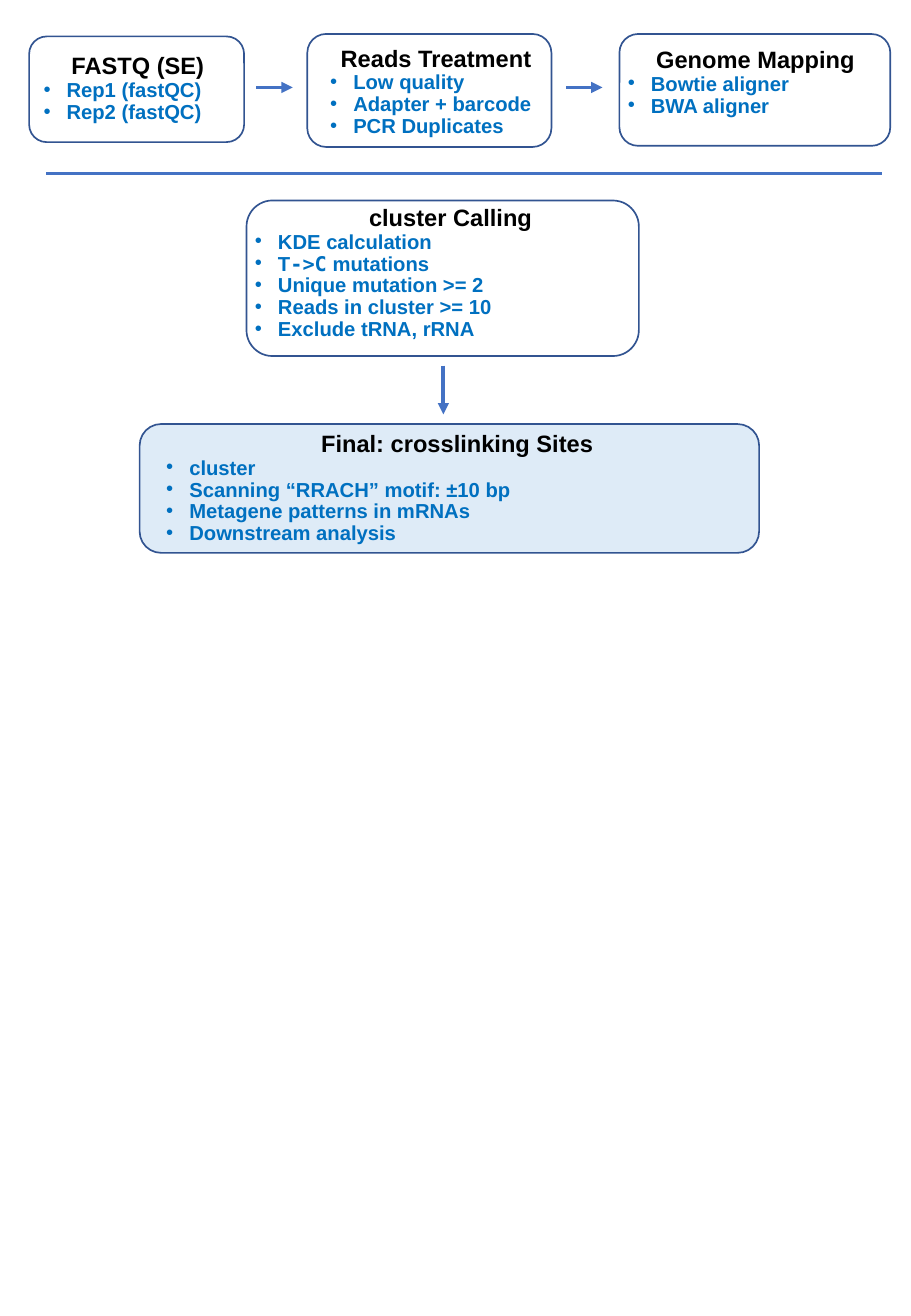
from dataclasses import dataclass
from typing import Any

from lxml.etree import SubElement
from pptx import Presentation
from pptx.dml.color import RGBColor
from pptx.enum.shapes import MSO_CONNECTOR, MSO_SHAPE
from pptx.enum.text import MSO_AUTO_SIZE, PP_ALIGN
from pptx.oxml.ns import qn
from pptx.util import Emu, Pt

SCALE = 9144  # EMU in one px, 100 px to the inch


@dataclass(frozen=True)
class Theme:
    font: str = "Arial"
    mono: str = "DejaVu Sans Mono"
    title: RGBColor = RGBColor.from_string("000000")
    item: RGBColor = RGBColor.from_string("0070C0")
    edge: RGBColor = RGBColor.from_string("325491")
    link: RGBColor = RGBColor.from_string("4472C4")
    final: RGBColor = RGBColor.from_string("DEEBF7")
    head: Pt = Pt(14)
    body: Pt = Pt(12)
    pitch: Pt = Pt(13)
    thin: Pt = Pt(1)
    rule: Pt = Pt(1.5)
    thick: Pt = Pt(2.25)


THEME = Theme()
Box = tuple[int, int, int, int]
Part = tuple[str, str]  # words and their font


@dataclass(frozen=True)
class Card:
    frame: Box
    text: Box
    title: str
    items: tuple[str | tuple[Part, ...], ...]
    fill: RGBColor | None = None


@dataclass(frozen=True)
class Link:
    start: tuple[int, int]
    end: tuple[int, int]
    width: Pt = THEME.thick
    arrow: bool = True


CARDS = (
    Card((24, 30, 177, 87), (26, 37, 175, 81), "FASTQ (SE)",
         ("Rep1 (fastQC)", "Rep2 (fastQC)")),
    Card((253, 28, 201, 93), (262, 31, 194, 88), "Reads Treatment",
         ("Low quality", "Adapter + barcode", "PCR Duplicates")),
    Card((510, 28, 223, 92), (507, 32, 230, 70), "Genome Mapping",
         ("Bowtie aligner", "BWA aligner")),
    Card((203, 165, 323, 128), (200, 162, 342, 127), "cluster Calling",
         ("KDE calculation",
          (("T", THEME.font), ("->C", THEME.mono), (" mutations", THEME.font)),
          "Unique mutation >= 2", "Reads in cluster >= 10",
          "Exclude tRNA, rRNA")),
    Card((115, 349, 510, 106), (127, 348, 499, 107), "Final: crosslinking Sites",
         ("cluster", "Scanning “RRACH” motif: ±10 bp",
          "Metagene patterns in mRNAs", "Downstream analysis"), THEME.final),
)

LINKS = (
    Link((211, 72), (241, 72)),
    Link((466, 72), (496, 72)),
    Link((38, 143), (726, 143), THEME.rule, False),
    Link((365, 301), (365, 341)),
)


def px(*sizes: int) -> list[Emu]:
    return [Emu(size * SCALE) for size in sizes]


def style(target: Any, values: dict[str, Any]) -> None:
    for name, value in values.items():
        setattr(target, name, value)


def write(para: Any, text: str, font: str, size: Pt, color: RGBColor) -> None:
    run = para.add_run()
    run.text = text
    style(run.font, {"name": font, "size": size, "bold": True})
    run.font.color.rgb = color


def bullet(para: Any) -> None:
    props = para._p.get_or_add_pPr()
    indent = 19 * SCALE
    props.set("marL", str(indent))
    props.set("indent", str(-indent))
    SubElement(props, qn("a:buFont")).set("typeface", THEME.font)
    SubElement(props, qn("a:buChar")).set("char", "•")


def draw_card(slide: Any, card: Card) -> None:
    group = slide.shapes.add_group_shape().shapes

    # Rounded frame
    frame = group.add_shape(MSO_SHAPE.ROUNDED_RECTANGLE, *px(*card.frame))
    frame.shadow.inherit = False
    if card.fill is None:
        frame.fill.background()
    else:
        frame.fill.solid()
        frame.fill.fore_color.rgb = card.fill
    frame.line.color.rgb = THEME.edge
    frame.line.width = THEME.thin

    # Title and bullets
    body = group.add_textbox(*px(*card.text)).text_frame
    style(body, {"word_wrap": True, "auto_size": MSO_AUTO_SIZE.SHAPE_TO_FIT_TEXT})
    title = body.paragraphs[0]
    title.alignment = PP_ALIGN.CENTER
    write(title, card.title, THEME.font, THEME.head, THEME.title)
    for item in card.items:
        para = body.add_paragraph()
        para.line_spacing = THEME.pitch
        bullet(para)
        parts = ((item, THEME.font),) if isinstance(item, str) else item
        for text, font in parts:
            write(para, text, font, THEME.body, THEME.item)


def draw_link(slide: Any, link: Link) -> None:
    line = slide.shapes.add_connector(
        MSO_CONNECTOR.STRAIGHT, *px(*link.start, *link.end))
    line.line.color.rgb = THEME.link
    line.line.width = link.width
    if link.arrow:
        SubElement(line.line._get_or_add_ln(), qn("a:tailEnd")).set("type", "triangle")
    SubElement(line._element.spPr, qn("a:effectLst"))


def main() -> None:
    deck = Presentation()
    wide, high = px(750, 1083)
    style(deck, {"slide_width": wide, "slide_height": high})
    slide = deck.slides.add_slide(deck.slide_layouts[6])
    for card in CARDS:
        draw_card(slide, card)
    for link in LINKS:
        draw_link(slide, link)
    deck.save("out.pptx")


if __name__ == "__main__":
    main()
